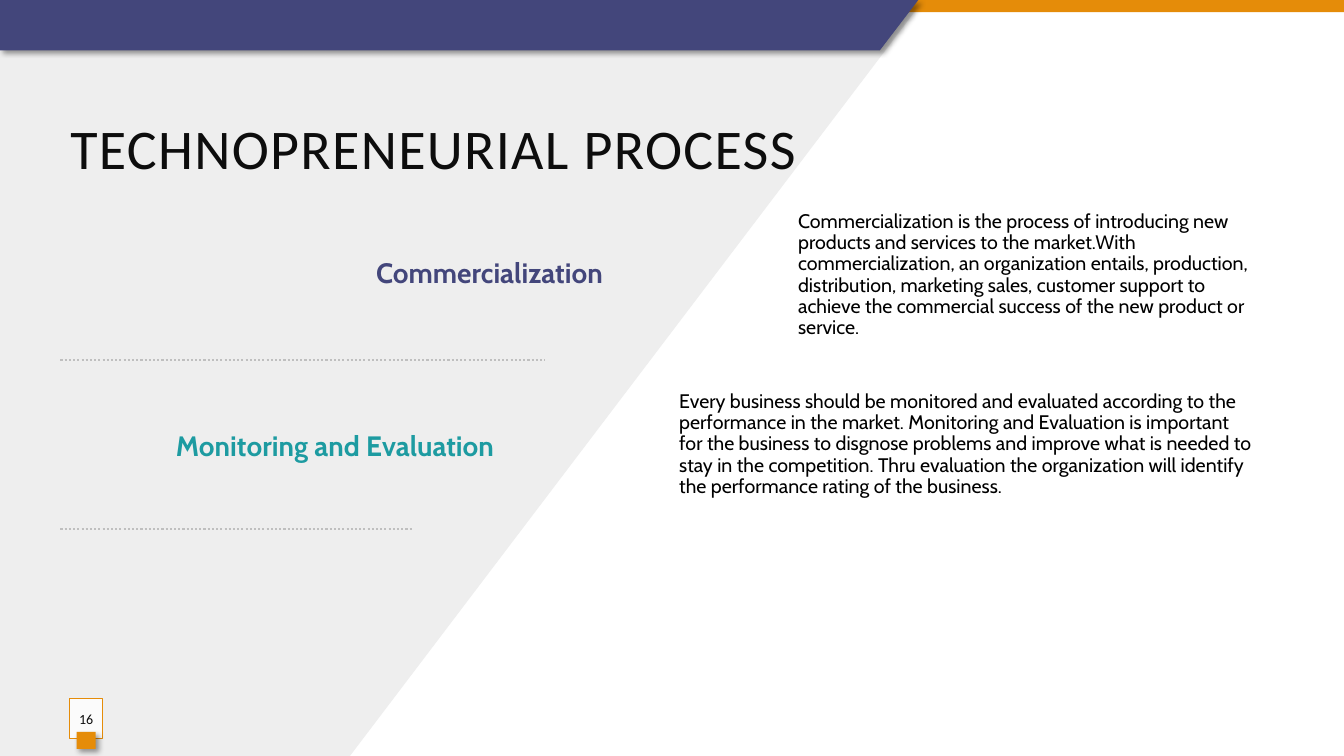
"""Build the Technopreneurial Process slide."""
from dataclasses import dataclass

from lxml import etree
from pptx import Presentation
from pptx.dml.color import RGBColor
from pptx.enum.dml import MSO_LINE
from pptx.enum.shapes import MSO_CONNECTOR, MSO_SHAPE
from pptx.enum.text import MSO_ANCHOR, PP_ALIGN
from pptx.oxml import parse_xml
from pptx.oxml.ns import nsdecls, qn
from pptx.util import Pt

RECT, STRAIGHT = MSO_SHAPE.RECTANGLE, MSO_CONNECTOR.STRAIGHT
LEFT, CENTER, RIGHT = PP_ALIGN.LEFT, PP_ALIGN.CENTER, PP_ALIGN.RIGHT
TOP, MIDDLE = MSO_ANCHOR.TOP, MSO_ANCHOR.MIDDLE
DOTTED = MSO_LINE.ROUND_DOT

Box = tuple[float, float, float, float]
Points = list[tuple[float, float]]


@dataclass(frozen=True)
class Theme:
    white: str = "FFFFFF"
    black: str = "000000"
    ink: str = "0D0D0D"
    panel: str = "EEEEEE"
    orange: str = "E58C09"
    indigo: str = "43467B"
    teal: str = "1D9BA1"
    dots: str = "BFBFBF"
    title_font: str = "Calibri"
    body_font: str = "Cabin"
    title_size: float = 40
    heading_size: float = 20
    body_size: float = 14
    number_size: float = 10


@dataclass(frozen=True)
class Stage:
    heading: str
    color: str
    heading_box: Box
    text: str
    text_box: Box
    rule_y: float
    rule_end: float


T = Theme()
MARGIN = 43.2
STAGES = [
    Stage("Commercialization", T.indigo, (49, 179.3, 388.8, 33.1),
          "Commercialization is the process of introducing new products and services "
          "to the market.With commercialization, an organization entails, production, "
          "distribution, marketing sales, customer support to achieve the commercial "
          "success of the new product or service.",
          (563, 160.6, 339.8, 72), 257, 388.8),
    Stage("Monitoring and Evaluation", T.teal, (MARGIN, 303.1, 316.8, 33.1),
          "Every business should be monitored and evaluated according to the "
          "performance in the market. Monitoring and Evaluation is important for the "
          "business to disgnose problems and improve what is needed to stay in the "
          "competition. Thru evaluation the organization will identify the performance "
          "rating of the business.",
          (478.1, 281.5, 424.8, 72), 378, 295.2),
]


def rgb(color: str) -> RGBColor:
    return RGBColor.from_string(color)


def paint(sp, color: str, line: str = "", shadow: bool = False):
    sp.shadow.inherit = False
    sp.fill.solid()
    sp.fill.fore_color.rgb = rgb(color)
    if line:
        sp.line.color.rgb = rgb(line)
        sp.line.width = Pt(0.75)
    else:
        sp.line.fill.background()
    if shadow:
        effects = sp._element.spPr.find(qn("a:effectLst"))
        effects.append(parse_xml(
            f'<a:outerShdw {nsdecls("a")} blurRad="{Pt(4)}" dist="{Pt(3)}" '
            'dir="2700000" algn="tl" rotWithShape="0"><a:srgbClr val="000000">'
            '<a:alpha val="40000"/></a:srgbClr></a:outerShdw>'))
    return sp


def add_rect(s, box: Box, color: str, **look):
    return paint(s.shapes.add_shape(RECT, *map(Pt, box)), color, **look)


def add_outline(s, points: Points, color: str, **look):
    corners = [(Pt(x), Pt(y)) for x, y in points]
    fb = s.shapes.build_freeform(*corners[0], scale=1.0)
    fb.add_line_segments(corners[1:], close=True)
    return paint(fb.convert_to_shape(), color, **look)


def add_rule(s, x1: float, x2: float, y: float) -> None:
    ln = s.shapes.add_connector(STRAIGHT, Pt(x1), Pt(y), Pt(x2), Pt(y))
    ln.line.color.rgb = rgb(T.dots)
    ln.line.width = Pt(1.5)
    ln.line.dash_style = DOTTED
    etree.SubElement(ln._element.spPr, qn("a:effectLst"))


def write(sp, text: str, *, size: float, color: str, font: str = T.body_font,
          bold: bool = False, align=LEFT, anchor=MIDDLE, spacing: float = 0.9,
          tracking: float = 0, side_inset: float = 7.2) -> None:
    tf = sp.text_frame
    tf.word_wrap = True
    tf.vertical_anchor = anchor
    tf.margin_left = tf.margin_right = Pt(side_inset)
    p = tf.paragraphs[0]
    p.alignment = align
    p.line_spacing = spacing
    r = p.add_run()
    r.text = text
    r.font.name, r.font.size, r.font.bold = font, Pt(size), bold
    r.font.color.rgb = rgb(color)
    if tracking:
        r._r.get_or_add_rPr().set("spc", str(round(tracking * 100)))


def add_text(s, box: Box, text: str, **fmt) -> None:
    write(s.shapes.add_textbox(*map(Pt, box)), text, **fmt)


def add_background(s) -> None:
    add_outline(s, [(0, 0), (656, 0), (656, 5), (250, 540), (0, 540)], T.panel)
    add_rect(s, (0, 0, 960, 8.7), T.orange)
    add_outline(s, [(0, 0), (656, 0), (628.5, 36), (0, 36)], T.indigo, shadow=True)


def add_stage(s, stage: Stage) -> None:
    add_text(s, stage.text_box, stage.text, size=T.body_size, color=T.black)
    add_text(s, stage.heading_box, stage.heading, size=T.heading_size,
             color=stage.color, bold=True, align=RIGHT)
    add_rule(s, MARGIN, stage.rule_end, stage.rule_y)


def add_page_number(s, number: str) -> None:
    sp = add_rect(s, (49.7, 499, 23.8, 28.8), T.white, line=T.orange)
    clr = sp._element.spPr.find(qn("a:solidFill"))[0]
    etree.SubElement(clr, qn("a:alpha")).set("val", "82000")
    write(sp, number, size=T.number_size, color=T.ink, font=T.title_font,
          align=CENTER, spacing=1.0, side_inset=0)
    add_rect(s, (54.7, 522.7, 13.7, 12.2), T.orange, shadow=True)


def main() -> None:
    prs = Presentation()
    prs.slide_width, prs.slide_height = Pt(960), Pt(540)
    s = prs.slides.add_slide(prs.slide_layouts[6])
    add_background(s)
    add_text(s, (MARGIN, 77.8, 851, 55.4), "TECHNOPRENEURIAL PROCESS",
             size=T.title_size, color=T.ink, font=T.title_font, anchor=TOP,
             spacing=1.0, tracking=1)
    for stage in STAGES:
        add_stage(s, stage)
    add_page_number(s, "16")
    prs.save("out.pptx")


if __name__ == "__main__":
    main()
